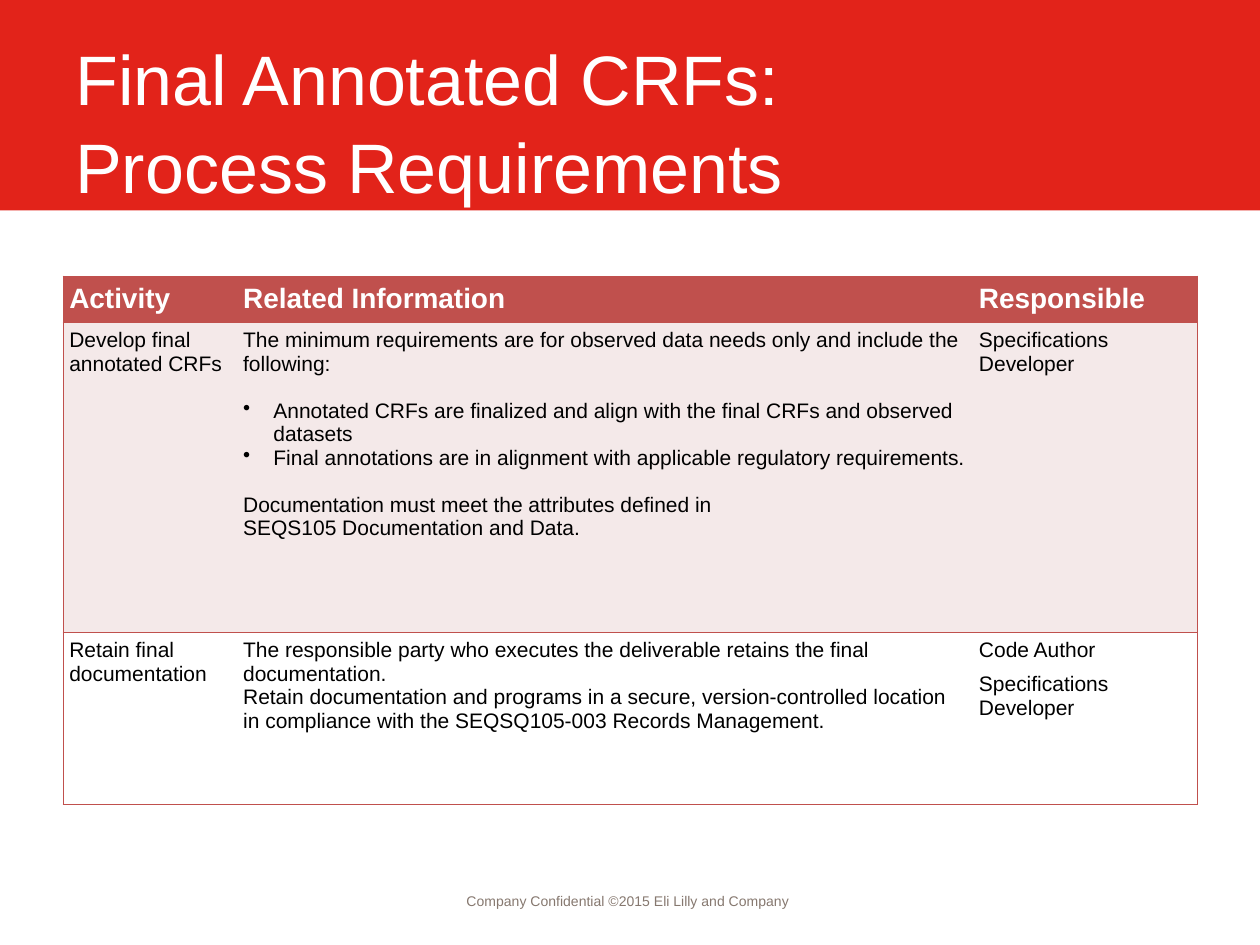
from dataclasses import dataclass

from lxml.etree import SubElement
from pptx import Presentation
from pptx.dml.color import RGBColor
from pptx.enum.shapes import MSO_SHAPE
from pptx.enum.text import MSO_ANCHOR, PP_ALIGN
from pptx.oxml.ns import qn
from pptx.util import Inches, Pt


@dataclass(frozen=True)
class Theme:
    font: str = "Arial"
    red: str = "E2231A"
    brick: str = "C0504D"
    blush: str = "F4E9E9"
    white: str = "FFFFFF"
    black: str = "000000"
    taupe: str = "86786F"
    title: float = 40
    head: float = 16
    body: float = 12
    small: float = 8
    rule: float = 0.45


THEME = Theme()
HEAD = ["Activity", "Related Information", "Responsible"]
ROWS = [
    [
        [("Develop final annotated CRFs", {})],
        [
            ("The minimum requirements are for observed data needs only "
             "and include the following:", {}),
            ("Annotated CRFs are finalized and align with the final CRFs "
             "and observed datasets", {"bullet": True, "before": 13.5}),
            ("Final annotations are in alignment with applicable regulatory "
             "requirements.", {"bullet": True}),
            ("Documentation must meet the attributes defined in",
             {"align": PP_ALIGN.JUSTIFY, "before": 13.5}),
            ("SEQS105 Documentation and Data.", {"align": PP_ALIGN.JUSTIFY}),
        ],
        [("Specifications Developer", {})],
    ],
    [
        [("Retain final documentation", {})],
        [
            ("The responsible party who executes the deliverable retains "
             "the final documentation.", {}),
            ("Retain documentation and programs in a secure, "
             "version-controlled location in compliance with the "
             "SEQSQ105-003 Records Management.", {}),
        ],
        [("Code Author", {}), ("Specifications Developer", {"before": 6})],
    ],
]


def write(frame, text, size=THEME.body, color=THEME.black, bold=False,
          align=PP_ALIGN.LEFT, before=0, pitch=None, bullet=False):
    para = frame.paragraphs[0]
    if para.runs:
        para = frame.add_paragraph()
    if bullet:
        props = para._p.get_or_add_pPr()
        props.set("marL", str(Inches(0.24)))
        props.set("indent", str(-Inches(0.24)))
        SubElement(props, qn("a:buChar"), char="•")
    para.text = text
    para.alignment = align
    para.space_before = Pt(before)
    if pitch:
        para.line_spacing = pitch
    for run in para.runs:
        font = run.font
        font.name, font.size, font.bold = THEME.font, Pt(size), bold
        font.color.rgb = RGBColor.from_string(color)


def add_band(slide):
    band = slide.shapes.add_shape(
        MSO_SHAPE.RECTANGLE, 0, 0, Inches(10), Inches(1.67))
    band.shadow.inherit = False
    band.fill.solid()
    band.fill.fore_color.rgb = RGBColor.from_string(THEME.red)
    band.line.fill.background()


def add_text(slide, box, text, **form):
    frame = slide.shapes.add_textbox(*map(Inches, box)).text_frame
    frame.word_wrap = True
    frame.vertical_anchor = MSO_ANCHOR.MIDDLE
    write(frame, text, **form)


def rule_cell(cell, sides):
    props = cell._tc.get_or_add_tcPr()
    for side in "LRTB":
        line = SubElement(props, qn(f"a:ln{side}"), w=str(Pt(THEME.rule)))
        if side in sides:
            fill = SubElement(line, qn("a:solidFill"))
            SubElement(fill, qn("a:srgbClr"), val=THEME.brick)
        else:
            SubElement(line, qn("a:noFill"))


def fill_cell(cell, items, color, sides, anchor=MSO_ANCHOR.TOP):
    rule_cell(cell, sides)
    cell.fill.solid()
    cell.fill.fore_color.rgb = RGBColor.from_string(color)
    cell.vertical_anchor = anchor
    cell.margin_left = cell.margin_right = Inches(0.05)
    cell.margin_top = cell.margin_bottom = Inches(0.05)
    for text, form in items:
        write(cell.text_frame, text, **form)


def add_grid(slide):
    grid = slide.shapes.add_table(
        3, 3, Inches(0.5), Inches(2.19), Inches(9), Inches(4.16)).table
    grid.horz_banding = False
    for col, width in zip(grid.columns, (1.38, 5.84, 1.78)):
        col.width = Inches(width)
    for row, height in zip(grid.rows, (0.33, 2.46, 1.37)):
        row.height = Inches(height)
    sides = ("LTB", "TB", "RTB")
    form = {"size": THEME.head, "color": THEME.white, "bold": True}
    for col, text in enumerate(HEAD):
        fill_cell(grid.cell(0, col), [(text, form)], THEME.brick,
                  sides[col], MSO_ANCHOR.MIDDLE)
    for row, cells in enumerate(ROWS, 1):
        color = THEME.blush if row % 2 else THEME.white
        for col, items in enumerate(cells):
            fill_cell(grid.cell(row, col), items, color, sides[col])


def main():
    deck = Presentation()
    deck.slide_width, deck.slide_height = Inches(10), Inches(7.5)
    slide = deck.slides.add_slide(deck.slide_layouts[6])
    add_band(slide)
    add_text(slide, (0.5, 0.32, 9, 1.25),
             "Final Annotated CRFs:\vProcess Requirements",
             size=THEME.title, color=THEME.white, pitch=1.05)
    add_text(slide, (3.4, 6.95, 3.17, 0.4),
             "Company Confidential ©2015 Eli Lilly and Company",
             size=THEME.small, color=THEME.taupe, align=PP_ALIGN.CENTER)
    add_grid(slide)
    deck.save("out.pptx")


if __name__ == "__main__":
    main()
